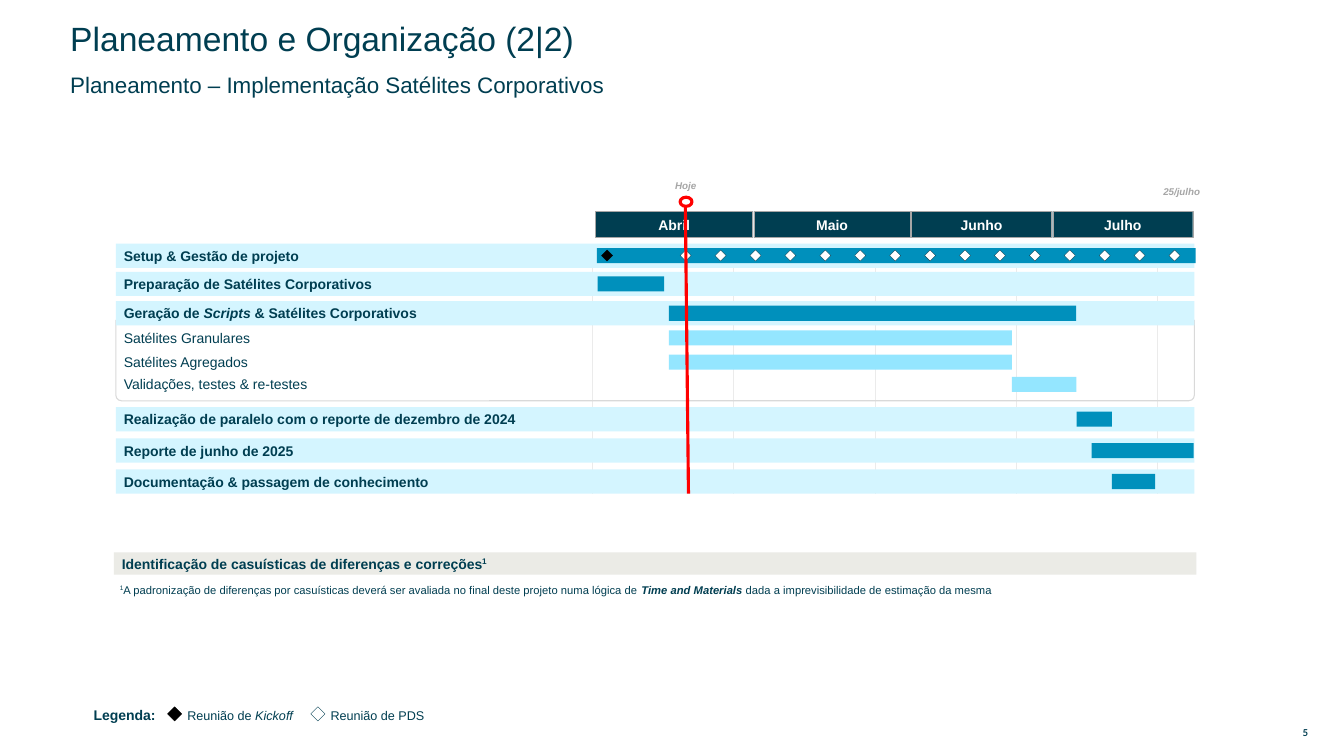
from lxml.etree import SubElement
from pptx import Presentation
from pptx.dml.color import RGBColor
from pptx.enum.shapes import MSO_CONNECTOR, MSO_SHAPE
from pptx.enum.text import MSO_ANCHOR, MSO_AUTO_SIZE, PP_ALIGN
from pptx.oxml.ns import qn
from pptx.util import Cm, Pt

NAVY = RGBColor(0x00, 0x3E, 0x51)
BLUE = RGBColor(0x00, 0x90, 0xBC)
SKY = RGBColor(0x94, 0xE6, 0xFF)
PALE = RGBColor(0xD4, 0xF5, 0xFF)
STONE = RGBColor(0xEB, 0xEB, 0xE6)
GRID = RGBColor(0xEB, 0xEB, 0xEB)
FRAME = RGBColor(0xD9, 0xD9, 0xD9)
GREY = RGBColor(0xA6, 0xA6, 0xA6)
RED = RGBColor(0xFF, 0x00, 0x00)
BLACK = RGBColor(0x00, 0x00, 0x00)
WHITE = RGBColor(0xFF, 0xFF, 0xFF)

ROW_HEIGHT = 0.61
BAR_HEIGHT = 0.38

# Runs, top of the row, left and width of its bar, in cm within the chart
TASKS = [
    (["Setup & Gestão de projeto"], 0.81, 12.12, 15.09),
    (["Preparação de Satélites Corporativos"], 1.52, 12.14, 1.68),
    (["Geração de ", ("Scripts", "italic"), " & Satélites Corporativos"], 2.26, 13.94, 10.26),
    (["Realização de paralelo com o reporte de dezembro de 2024"], 4.93, 24.21, 0.89),
    (["Reporte de junho de 2025"], 5.72, 24.59, 2.57),
    (["Documentação & passagem de conhecimento"], 6.5, 25.1, 1.09),
]
SUBTASKS = [
    (["Satélites Granulares"], 2.88, 13.94, 8.64),
    (["Satélites Agregados"], 3.49, 13.94, 8.64),
    (["Validações, testes & re-testes"], 4.05, 22.58, 1.63),
]
MONTHS = [("Abril", 3.96), ("Maio", 3.94), ("Junho", 3.53), ("Julho", 3.53)]


def write(shape, runs, size, color=NAVY, bold=None, italic=None, align=PP_ALIGN.LEFT,
          anchor=MSO_ANCHOR.MIDDLE, insets=(0.25, 0.13), spacing=None, font="Arial"):
    """Fill a shape with one paragraph; a run is a string or a (string, style) pair."""
    frame = shape.text_frame
    frame.word_wrap = True
    frame.auto_size = MSO_AUTO_SIZE.NONE
    frame.vertical_anchor = anchor
    frame.margin_left = frame.margin_right = Cm(insets[0])
    frame.margin_top = frame.margin_bottom = Cm(insets[1])
    paragraph = frame.paragraphs[0]
    paragraph.alignment = align
    if spacing:
        paragraph.line_spacing = spacing
    paragraph.font.name = font
    paragraph.font.size = Pt(size)
    paragraph.font.color.rgb = color
    paragraph.font.bold = bold
    paragraph.font.italic = italic
    for item in runs:
        words, style = (item, "") if isinstance(item, str) else item
        run = paragraph.add_run()
        run.text = words
        if "bold" in style:
            run.font.bold = True
        if "italic" in style:
            run.font.italic = True
        if "super" in style:
            run._r.get_or_add_rPr().set("baseline", "30000")


def add_label(slide, left, top, width, height, runs, size, **style):
    label = slide.shapes.add_textbox(Cm(left), Cm(top), Cm(width), Cm(height))
    write(label, runs, size, **style)


def add_block(slide, kind, left, top, width, height, fill=None, line=None, weight=0.25):
    block = slide.shapes.add_shape(kind, Cm(left), Cm(top), Cm(width), Cm(height))
    block.shadow.inherit = False
    if fill is None:
        block.fill.background()
    else:
        block.fill.solid()
        block.fill.fore_color.rgb = fill
    if line is None:
        block.line.fill.background()
    else:
        block.line.color.rgb = line
        block.line.width = Pt(weight)
    return block


def add_line(slide, x1, y1, x2, y2, color, weight):
    line = slide.shapes.add_connector(MSO_CONNECTOR.STRAIGHT, Cm(x1), Cm(y1), Cm(x2), Cm(y2))
    line.line.color.rgb = color
    line.line.width = Pt(weight)
    SubElement(line._element.spPr, qn("a:effectLst"))


def add_kickoff(slide, left, top, size):
    add_block(slide, MSO_SHAPE.DIAMOND, left, top, size, size, BLACK, BLACK)


def add_pds(slide, left, top, size):
    add_block(slide, MSO_SHAPE.DIAMOND, left, top, size, size, WHITE, NAVY)


def add_band(slide, left, top, width, height, fill, runs):
    band = add_block(slide, MSO_SHAPE.RECTANGLE, left, top, width, height, fill)
    write(band, runs, 10, bold=True, insets=(0.2, 0))


def add_bar(slide, left, row_top, width, fill):
    """Centre a time bar vertically in its row."""
    top = row_top + (ROW_HEIGHT - BAR_HEIGHT) / 2
    add_block(slide, MSO_SHAPE.RECTANGLE, left, top, width, BAR_HEIGHT, fill)


def add_headings(slide, left, top, width):
    title = slide.shapes.title
    title.left, title.top, title.width, title.height = Cm(left), Cm(top), Cm(width), Cm(0.66)
    write(title, ["Planeamento e Organização (2|2)"], 24, spacing=0.9)
    add_label(slide, left, top + 1.16, width, 0.66,
              ["Planeamento – Implementação Satélites Corporativos"], 16, spacing=0.9)


def add_months(slide, left, top):
    for month, width in MONTHS:
        cell = add_block(slide, MSO_SHAPE.RECTANGLE, left, top, width, 0.66, NAVY, GREY)
        write(cell, [month], 10, color=WHITE, bold=True, align=PP_ALIGN.CENTER, insets=(0, 0.13))
        left += width + 0.03


def add_date(slide, left, top, words):
    add_label(slide, left, top, 1.8, 0.56, [words], 7, color=GREY, bold=True, italic=True,
              align=PP_ALIGN.CENTER, anchor=MSO_ANCHOR.TOP, insets=(0, 0.13))


def add_today(slide, left, top, height):
    add_line(slide, left + 0.89, top + 0.69, left + 0.97, top + height, RED, 2.25)
    add_block(slide, MSO_SHAPE.OVAL, left + 0.76, top + 0.58, 0.3, 0.23, WHITE, RED, 2.25)
    add_date(slide, left, top, "Hoje")


def add_gantt(slide, left, top, width, height):
    for step in range(5):
        x = left + 12.01 + step * 3.56
        add_line(slide, x, top + 0.81, x, top + height, GRID, 0.25)
    frame = add_block(slide, MSO_SHAPE.ROUND_2_SAME_RECTANGLE, left, top + 2.74, width, 2.03,
                      line=FRAME, weight=0.75)
    frame.adjustments[0], frame.adjustments[1] = 0, 0.07
    for runs, row, start, length in TASKS:
        add_band(slide, left, top + row, width, ROW_HEIGHT, PALE, runs)
        add_bar(slide, left + start, top + row, length, BLUE)
    for runs, row, start, length in SUBTASKS:
        add_label(slide, left - 0.05, top + row, 10.5, ROW_HEIGHT, runs, 10, insets=(0.25, 0))
        add_bar(slide, left + start, top + row, length, SKY)
    add_kickoff(slide, left + 12.24, top + 0.97, 0.28)
    for meeting in range(15):
        add_pds(slide, left + 14.22 + meeting * 0.88, top + 0.97, 0.28)
    add_months(slide, left + 12.09, top)
    add_date(slide, left + 25.96, top - 0.79, "25/julho")
    add_today(slide, left + 13.46, top - 0.94, height + 0.94)


def add_casuistry_note(slide, left, top, width):
    add_band(slide, left, top, width, 0.56, STONE,
             ["Identificação de casuísticas de diferenças e correções", ("1", "super")])
    add_label(slide, left - 0.1, top + 0.61, width + 0.18, 0.61, [
        ("1", "super"),
        "A padronização de diferenças por casuísticas deverá ser avaliada no final deste "
        "projeto numa lógica de ",
        ("Time and Materials ", "bold italic"),
        "dada a imprevisibilidade de estimação da mesma",
    ], 8, anchor=MSO_ANCHOR.TOP, spacing=1.1)


def add_legend(slide, left, top):
    style = {"anchor": MSO_ANCHOR.TOP, "spacing": 1.1}
    add_label(slide, left, top, 2.11, 0.74, ["Legenda:"], 10, bold=True, **style)
    entries = [(add_kickoff, ["Reunião de ", ("Kickoff", "italic")]),
               (add_pds, ["Reunião de PDS"])]
    for index, (add_marker, runs) in enumerate(entries):
        x = left + 2.11 + index * 3.61
        add_marker(slide, x, top + 0.18, 0.36)
        add_label(slide, x + 0.25, top + 0.03, 3.28, 0.69, runs, 9, **style)


def main():
    prs = Presentation()
    prs.slide_width, prs.slide_height = Cm(33.87), Cm(19.05)
    slide = prs.slides.add_slide(prs.slide_layouts[5])
    add_headings(slide, 1.52, 0.69, 20.19)
    add_gantt(slide, 2.92, 5.33, 27.18, 7.11)
    add_casuistry_note(slide, 2.87, 13.92, 27.28)
    add_legend(slide, 2.11, 17.63)
    add_label(slide, 32.33, 18.26, 1.14, 0.41, ["5"], 6.8, bold=True, align=PP_ALIGN.CENTER,
              insets=(0.15, 0.08), font="Lato")
    prs.save("out.pptx")


if __name__ == "__main__":
    main()
